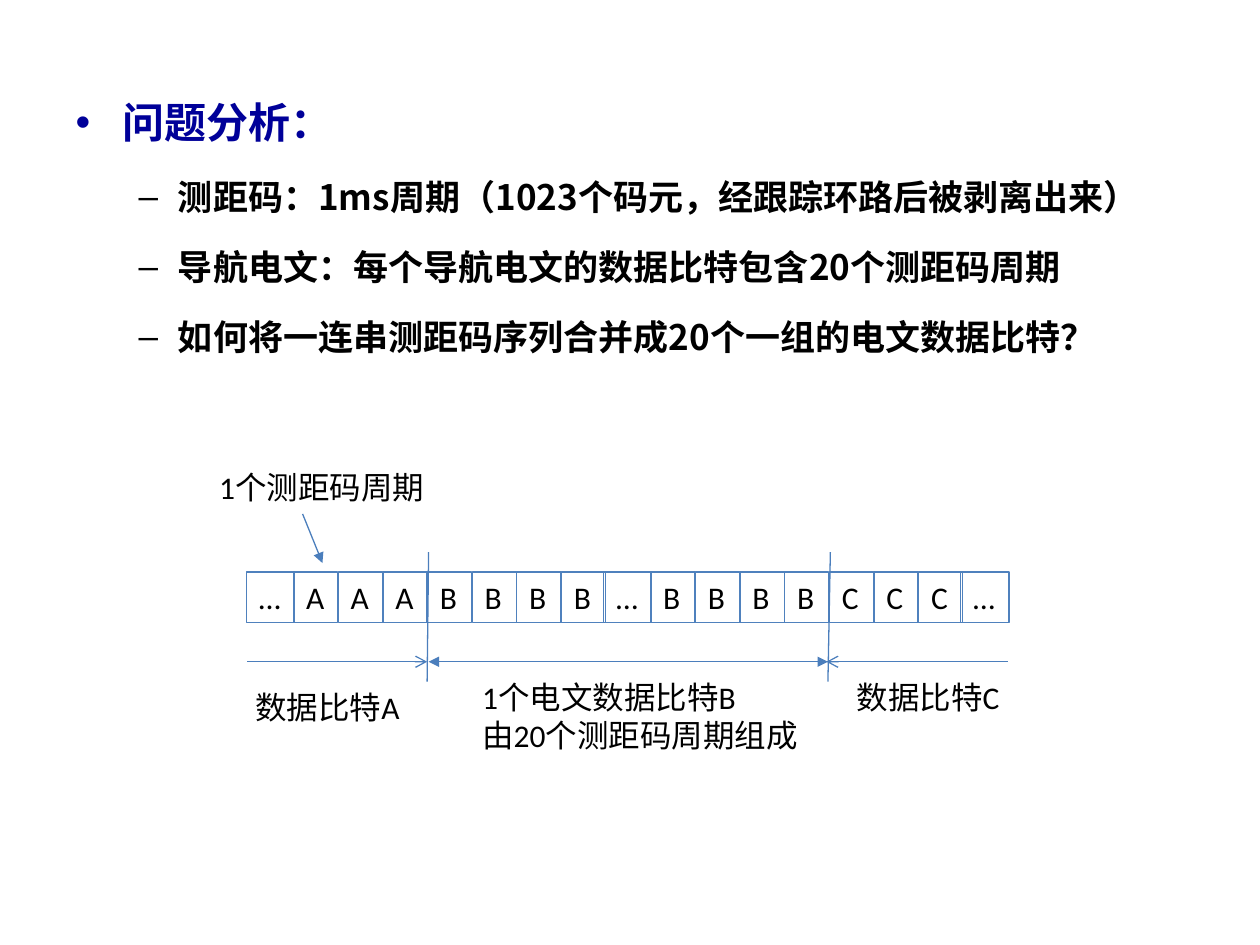
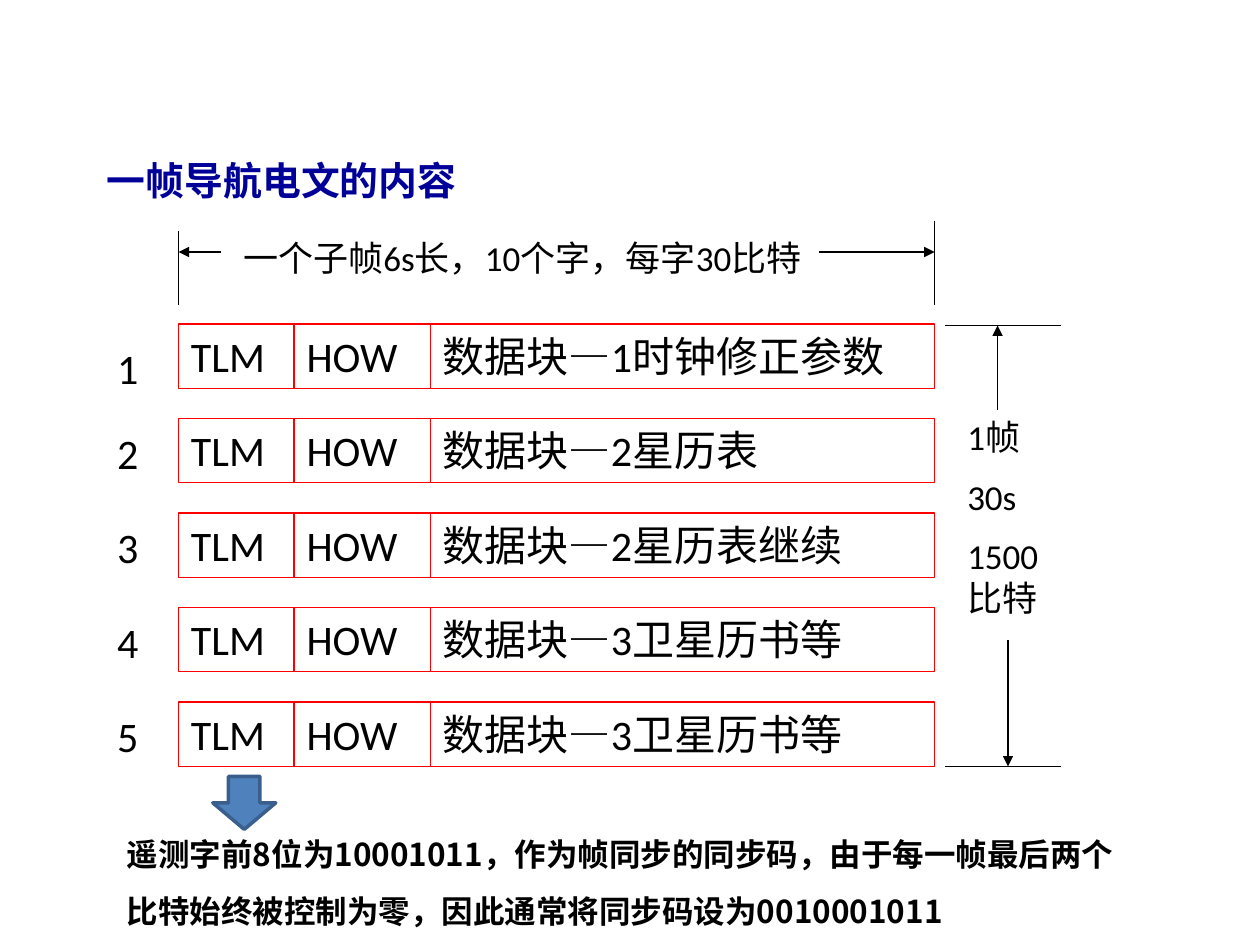
from pptx import Presentation
from pptx.util import Cm, Pt
from pptx.dml.color import RGBColor
from pptx.enum.shapes import MSO_SHAPE as Shape, MSO_CONNECTOR as Link
from pptx.enum.text import MSO_ANCHOR as Anchor, MSO_AUTO_SIZE as Fit, PP_ALIGN as Align
from pptx.oxml.ns import qn
from lxml.etree import SubElement

# Shared colours, fonts and text formats
NAVY, BLACK, RED = "000099", "000000", "FF0000"
BLUE, STEEL, EDGE = "4F81BD", "4B7EBC", "3A5F8C"
HAN, LATIN = "Noto Sans CJK SC", "Calibri"

HEAD = dict(size=24, name=HAN, color=NAVY, bold=True)
POINT = dict(HEAD, size=20, color=BLACK)
TITLE = dict(HEAD, size=22.2)
NOTE = dict(POINT, size=18)
SMALL = dict(size=18, name=LATIN, color=BLACK)
MID = dict(SMALL, size=20)
LARGE = dict(SMALL, size=24)

# Slide 1: list, code cells, labels and lines (cm)
POINTS = [
    (0, "问题分析：", HEAD),
    (1, "测距码：1ms周期（1023个码元，经跟踪环路后被剥离出来）", POINT),
    (1, "导航电文：每个导航电文的数据比特包含20个测距码周期", POINT),
    (1, "如何将一连串测距码序列合并成20个一组的电文数据比特？", POINT),
]
CODES = "…AAABBBB…BBBBCCC…"
LABELS = [
    (["1个电文数据比特B", "由20个测距码周期组成"], (9.47, 13.54, 6.93, 1.8)),
    (["数据比特C"], (17.02, 13.54, 3.43, 1.02)),
    (["数据比特A"], (4.9, 13.74, 3.43, 1.02)),
    (["1个测距码周期"], (4.17, 9.32, 4.67, 1.02)),
]
SPANS = [  # from, to, head, tail
    ((8.64, 11.13), (8.61, 13.74), None, None),
    ((16.74, 11.13), (16.69, 13.74), None, None),
    ((4.98, 13.34), (8.61, 13.34), None, "arrow"),
    ((8.64, 13.34), (16.69, 13.34), "triangle", "triangle"),
    ((16.66, 13.34), (20.32, 13.34), "arrow", None),
    ((6.1, 10.36), (6.5, 11.35), None, "triangle"),
]

# Slide 2: frame rows, dimension lines and notes (cm)
BLOCKS = ["1时钟修正参数", "2星历表", "2星历表继续", "3卫星历书等", "3卫星历书等"]
COLS = [(3.6, 2.33), (5.93, 2.75), (8.68, 10.16)]  # left, width
DIMS = [
    ((3.6, 6.14), (3.6, 4.66), None, None),
    ((18.84, 6.14), (18.84, 4.45), None, None),
    ((4.45, 5.08), (3.6, 5.08), None, "triangle"),
    ((16.51, 5.08), (18.84, 5.08), None, "triangle"),
    ((19.05, 6.56), (21.38, 6.56), None, None),
    ((19.05, 15.45), (21.38, 15.45), None, None),
    ((20.32, 12.91), (20.32, 15.45), None, "triangle"),
    ((20.11, 8.26), (20.11, 6.56), None, "triangle"),
]
WIDE = "一个子帧6s长，10个字，每字30比特"
TALL = ["1帧", "30s", "1500比特"]
SYNC = ("遥测字前8位为10001011，作为帧同步的同步码，由于每一帧最后两个"
        "比特始终被控制为零，因此通常将同步码设为0010001011")


def paint(hue):
    return RGBColor.from_string(hue)


def write(para, text, fmt):
    run = para.add_run()
    run.text = text
    for key, val in fmt.items():
        if key == "color":
            run.font.color.rgb = paint(val)
        else:
            setattr(run.font, key, Pt(val) if key == "size" else val)
    SubElement(run._r.get_or_add_rPr(), qn("a:ea")).set("typeface", HAN)


def fill_text(frame, lines, fmt, gap=0, **look):
    look = dict(word_wrap=True, vertical_anchor=Anchor.TOP) | look
    for key, val in look.items():
        setattr(frame, key, val)
    for i, line in enumerate(lines):
        para = frame.add_paragraph() if i else frame.paragraphs[0]
        para.alignment = Align.LEFT
        if i:
            para.space_before = Pt(gap)
        write(para, line, fmt)


def label(page, lines, box, fmt, gap=0):
    frame = page.shapes.add_textbox(*map(Cm, box)).text_frame
    fill_text(frame, lines, fmt, gap)
    return frame


def block(page, kind, box, hue, width=0.75, fill=None):
    shape = page.shapes.add_shape(kind, *map(Cm, box))
    shape.shadow.inherit = False
    if fill:
        shape.fill.solid()
        shape.fill.fore_color.rgb = paint(fill)
    else:
        shape.fill.background()
    shape.line.color.rgb = paint(hue)
    shape.line.width = Pt(width)
    return shape


def join(page, start, end, head, tail, hue):
    link = page.shapes.add_connector(Link.STRAIGHT, *map(Cm, start + end))
    link.line.color.rgb = paint(hue)
    link.line.width = Pt(0.75)
    props = link._element.spPr
    for tag, kind in (("a:headEnd", head), ("a:tailEnd", tail)):
        if kind:
            SubElement(props.find(qn("a:ln")), qn(tag)).set("type", kind)
    SubElement(props, qn("a:effectLst"))


def new_page(box):
    page = deck.slides.add_slide(deck.slide_layouts[1])
    title = page.shapes.title._element
    title.getparent().remove(title)
    body = page.placeholders[1]
    body.left, body.top, body.width, body.height = map(Cm, box)
    body.text_frame.auto_size = Fit.NONE
    return page, body.text_frame


deck = Presentation()
deck.slide_width, deck.slide_height = Cm(25.4), Cm(19.05)

# Slide 1
page, body = new_page((1.27, 1.32, 22.86, 15.7))
for i, (level, text, fmt) in enumerate(POINTS):
    para = body.add_paragraph() if i else body.paragraphs[0]
    para.level, para.line_spacing = level, 1.5
    write(para, text, fmt)

for i, code in enumerate(CODES):
    dots = code == "…"
    box = (5.02 + 0.9 * i - 0.05 * dots, 11.53, 0.97 if dots else 0.89, 1.02)
    cell = block(page, Shape.RECTANGLE, box, BLUE)
    fill_text(cell.text_frame, [code], SMALL, word_wrap=False)
for span in SPANS:
    join(page, *span, STEEL)
for lines, box in LABELS:
    label(page, lines, box, SMALL)

# Slide 2
page, body = new_page((1.9, 2.74, 9.73, 1.47))
para = body.paragraphs[0]
para.line_spacing = 1.3
SubElement(para._p.get_or_add_pPr(), qn("a:buNone"))
write(para, "一帧导航电文的内容", TITLE)

for i, data in enumerate(BLOCKS):
    top = 6.53 + 1.905 * i
    for (left, width), text in zip(COLS, ("TLM", "HOW", "数据块—" + data)):
        cell = block(page, Shape.RECTANGLE, (left, top, width, 1.3), RED)
        fill_text(cell.text_frame, [text], LARGE)
    mark = top + (0.05 if i else 0.25)
    label(page, [str(i + 1)], (2.11, mark, 1.47, 1.27), LARGE)

for dim in DIMS:
    join(page, *dim, BLACK)
label(page, [WIDE], (4.65, 4.65, 13.34, 1.09), MID)
label(page, TALL, (19.25, 8.26, 2.34, 4.5), MID, gap=10)

block(page, Shape.DOWN_ARROW, (4.29, 15.65, 1.27, 1.07), EDGE, 2, BLUE)
frame = label(page, [SYNC], (2.31, 16.33, 21.01, 2.57), NOTE)
frame.paragraphs[0].line_spacing = 1.5

deck.save("out.pptx")
